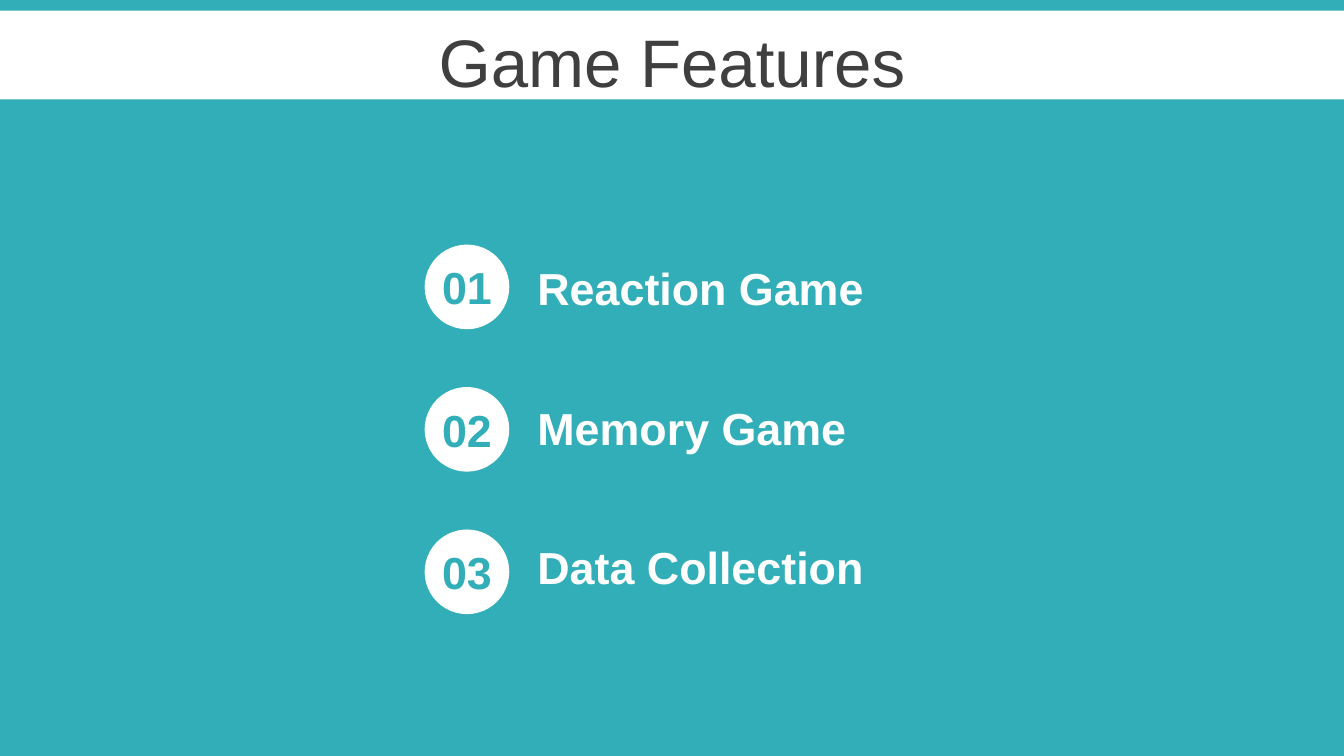
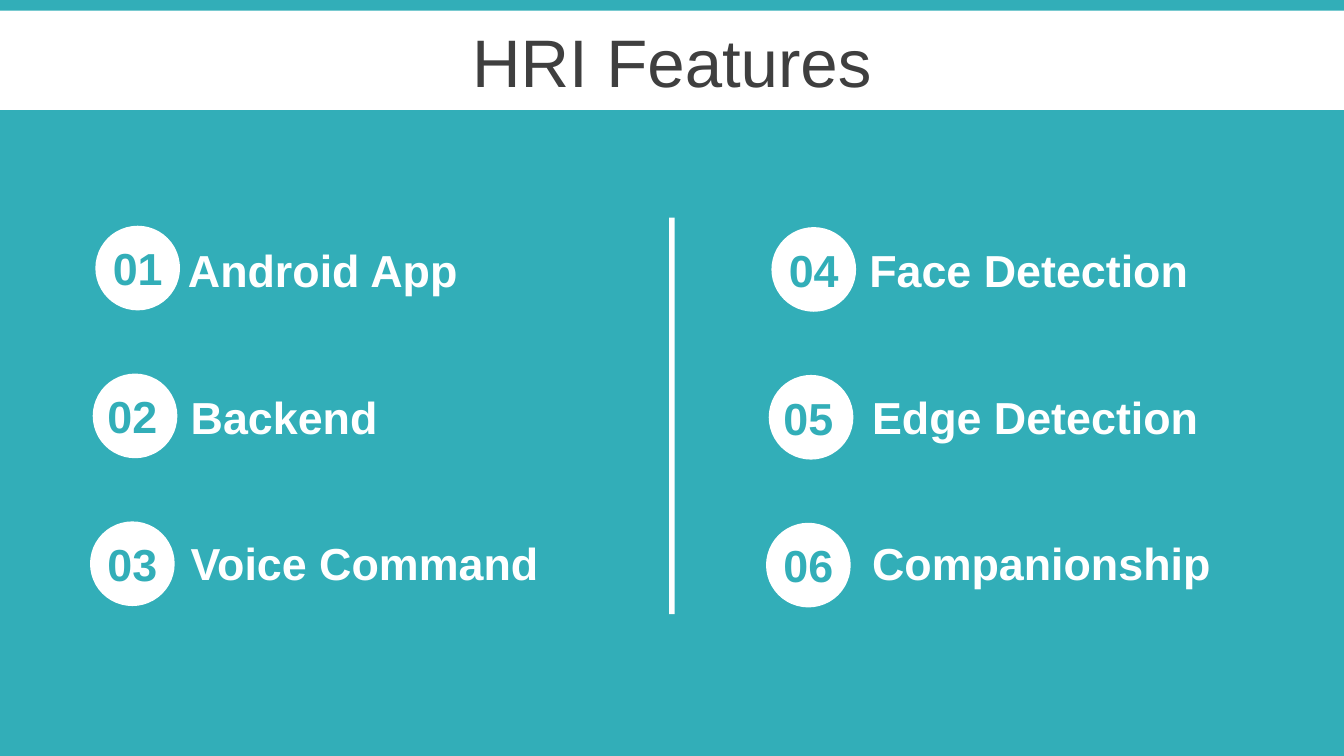
import dataclasses

import pptx
import pptx.dml.color
import pptx.enum.shapes
import pptx.enum.text
import pptx.util

Inches = pptx.util.Inches
SHAPE = pptx.enum.shapes.MSO_SHAPE
ALIGN = pptx.enum.text.PP_ALIGN
ANCHOR = pptx.enum.text.MSO_ANCHOR


@dataclasses.dataclass(frozen=True)
class Theme:
    teal: str = "32AEB8"
    white: str = "FFFFFF"
    dark: str = "3F3F3F"
    font: str = "Arial"
    title_size: int = 36
    item_size: int = 24


THEME = Theme()
SLIDE_W = 10
SLIDE_H = SLIDE_W * 9 / 16
BADGE = 0.63
NUMBER_W, NUMBER_H = 0.7, 0.5
LABEL_H = 0.34


def rgb(color):
    return pptx.dml.color.RGBColor.from_string(color)


def add_plain(slide, kind, box, color):
    """Add a filled shape without outline or shadow."""
    plain = slide.shapes.add_shape(kind, *map(Inches, box))
    plain.shadow.inherit = False
    plain.fill.solid()
    plain.fill.fore_color.rgb = rgb(color)
    plain.line.fill.background()


def add_text(slide, text, box, *, color, size=THEME.item_size, bold=True,
             align=ALIGN.LEFT, anchor=ANCHOR.TOP):
    frame = slide.shapes.add_textbox(*map(Inches, box)).text_frame
    frame.word_wrap = True
    frame.vertical_anchor = anchor
    paragraph = frame.paragraphs[0]
    paragraph.alignment = align
    run = paragraph.add_run()
    run.text = text
    run.font.name = THEME.font
    run.font.size = pptx.util.Pt(size)
    run.font.bold = bold
    run.font.color.rgb = rgb(color)


def add_feature_slide(deck, title, body_top):
    """Add a slide with edge bands, a title and a teal body."""
    slide = deck.slides.add_slide(deck.slide_layouts[6])
    # Edge bands
    for top, height in ((5.43, 0.2), (0, 0.08)):
        add_plain(slide, SHAPE.RECTANGLE, (0, top, SLIDE_W, height), THEME.teal)
    # Title
    add_text(slide, title, (0, 0.14, SLIDE_W, 0.63), color=THEME.dark,
             size=THEME.title_size, bold=False, align=ALIGN.CENTER,
             anchor=ANCHOR.MIDDLE)
    # Body
    add_plain(slide, SHAPE.RECTANGLE, (0, body_top, SLIDE_W, 4.69), THEME.teal)
    return slide


def add_numbered_list(slide, features, left, top, *, first=1, pitch, label_pitch,
                      label_gap, label_drop=0.07, label_widths=(2.91, 2.91, 2.91),
                      badge_drift=0, number_shift=0):
    """Stack numbered badges with labels; left and top locate the first badge.

    badge_drift moves each badge left of the one above; number_shift moves
    later numbers left and their labels right by half as much.
    """
    for row, (feature, label_width) in enumerate(zip(features, label_widths)):
        shift = number_shift if row else 0
        badge_top = top + row * pitch
        # Badge
        add_plain(slide, SHAPE.OVAL,
                  (left - row * badge_drift, badge_top, BADGE, BADGE), THEME.white)
        # Number
        add_text(slide, f"{first + row:02d}",
                 (left + (BADGE - NUMBER_W) / 2 - shift,
                  badge_top + (BADGE - NUMBER_H) / 2, NUMBER_W, NUMBER_H),
                 color=THEME.teal, align=ALIGN.CENTER)
        # Label
        add_text(slide, feature,
                 (left + label_gap + shift / 2,
                  top + label_drop + row * label_pitch, label_width, LABEL_H),
                 color=THEME.white)


def build_game_features(deck):
    slide = add_feature_slide(deck, "Game Features", body_top=0.74)
    add_numbered_list(slide, ("Reaction Game", "Memory Game", "Data Collection"),
                      3.16, 1.82, pitch=1.06, label_pitch=1.04, label_gap=0.74)


def build_hri_features(deck):
    slide = add_feature_slide(deck, "HRI Features", body_top=0.82)
    spacing = dict(pitch=1.1, label_pitch=1.09, badge_drift=0.02, number_shift=0.04)
    # Left column
    add_numbered_list(slide, ("Android App", "Backend", "Voice Command"),
                      0.71, 1.68, label_gap=0.59, label_drop=0.08, **spacing)
    # Divider
    add_plain(slide, SHAPE.RECTANGLE, (4.98, 1.62, 0.04, 2.95), THEME.white)
    # Right column
    add_numbered_list(slide, ("Face Detection", "Edge Detection", "Companionship"),
                      5.74, 1.69, first=4, label_gap=0.63,
                      label_widths=(3.38, 2.91, 2.91), **spacing)


def main():
    deck = pptx.Presentation()
    deck.slide_width = Inches(SLIDE_W)
    deck.slide_height = Inches(SLIDE_H)
    build_game_features(deck)
    build_hri_features(deck)
    deck.save("out.pptx")


if __name__ == "__main__":
    main()
